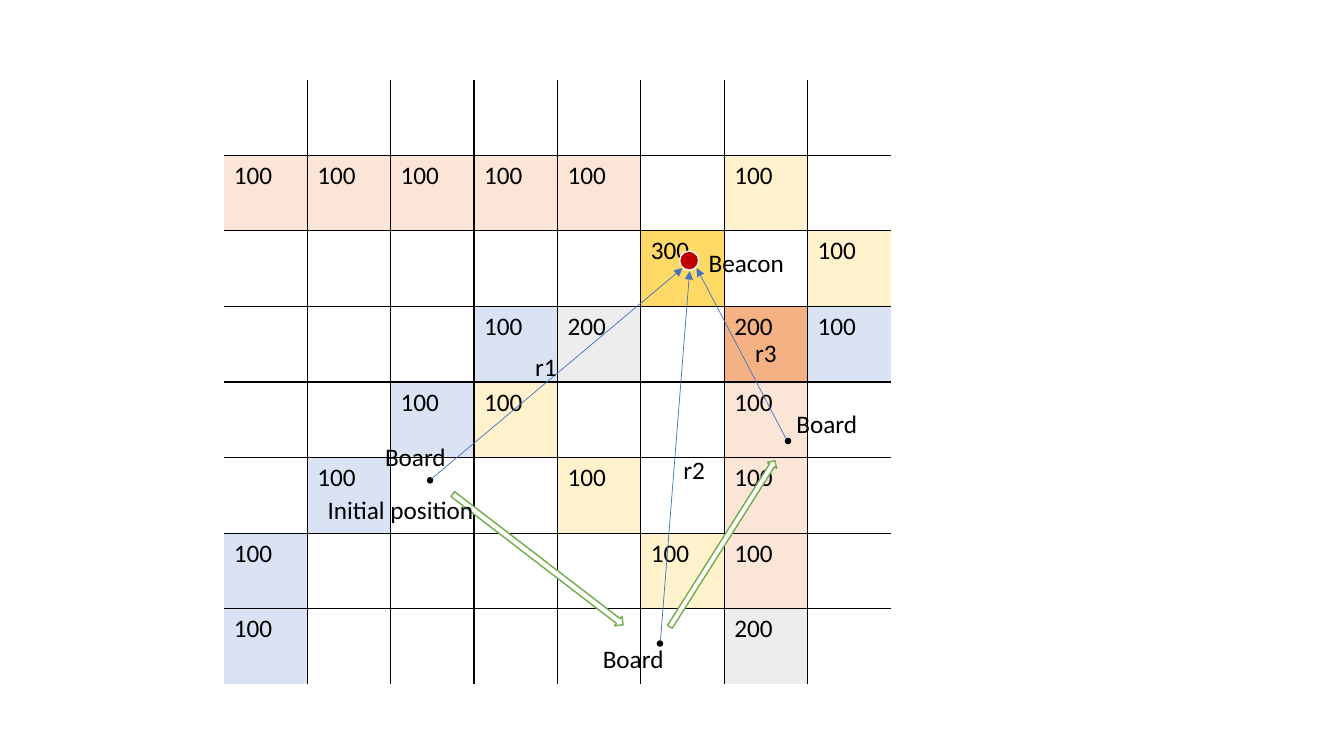
from dataclasses import dataclass
from typing import NamedTuple

from lxml.etree import SubElement
from pptx import Presentation
from pptx.dml.color import RGBColor
from pptx.enum.shapes import MSO_CONNECTOR, MSO_SHAPE
from pptx.enum.text import MSO_AUTO_SIZE
from pptx.oxml.ns import qn
from pptx.util import Inches, Pt


@dataclass(frozen=True)
class Theme:
    """Colours and type of the slide."""
    font: str = "Calibri"
    text_size: int = 18
    black: str = "000000"
    white: str = "FFFFFF"
    beacon: str = "C00000"
    range_line: str = "4472C4"
    move_line: str = "70AD47"


class CellKind(NamedTuple):
    """Value and colour of a marked grid cell."""
    value: str
    fill: str


class Dot(NamedTuple):
    """A round marker."""
    left: float
    top: float
    size: float
    fill: str
    line: str


class Range(NamedTuple):
    """A measured distance from a board to the beacon."""
    start: tuple[float, float]
    end: tuple[float, float]


class Move(NamedTuple):
    """A block arrow between two board positions."""
    left: float
    top: float
    width: float
    height: float
    rotation: float


class Label(NamedTuple):
    """A caption; wrap is off for boxes that hug their text."""
    text: str
    left: float
    top: float
    width: float
    wrap: bool = True


THEME = Theme()
CELL_KINDS = {
    "P": CellKind("100", "FBE5D6"),
    "B": CellKind("100", "DAE3F3"),
    "C": CellKind("100", "FFF2CC"),
    "E": CellKind("200", "EDEDED"),
    "O": CellKind("200", "F4B183"),
    "G": CellKind("300", "FFD966"),
}
GRID = (
    "........",
    "PPPPP.C.",
    ".....G.C",
    "...BE.OB",
    "..BC..P.",
    ".B..C.P.",
    "B....CP.",
    "B.....E.",
)
BOARD_DOTS = [Dot(left, top, 0.05, THEME.black, THEME.black)
              for left, top in ((4.24, 4.74), (6.52, 6.36), (7.79, 4.35))]
BEACON_DOT = Dot(6.74, 2.49, 0.19, THEME.beacon, THEME.white)
RANGES = (
    Range((4.28, 4.75), (6.77, 2.66)),
    Range((6.55, 6.36), (6.84, 2.69)),
    Range((7.8, 4.36), (6.91, 2.66)),
)
MOVES = (
    Move(4.27, 5.49, 2.13, 0.12, 37.5),
    Move(6.19, 5.34, 1.95, 0.11, 302.3),
)
LABELS = (
    Label("r1", 5.21, 3.44, 0.65),
    Label("r2", 6.68, 4.46, 0.42, False),
    Label("r3", 7.39, 3.3, 0.42, False),
    Label("Beacon", 6.93, 2.4, 1.04),
    Label("Initial position", 3.15, 4.86, 1.95),
    Label("Board", 3.72, 4.33, 1.95),
    Label("Board", 5.88, 6.33, 1.95),
    Label("Board", 7.8, 4, 1.95),
)


def rgb(code: str) -> RGBColor:
    """Turn a hex code into a colour."""
    return RGBColor.from_string(code)


def write(frame, text: str) -> None:
    """Put one line of text into a frame in the slide's type."""
    span = frame.paragraphs[0].add_run()
    span.text = text
    for name, value in {"name": THEME.font, "size": Pt(THEME.text_size)}.items():
        setattr(span.font, name, value)
    span.font.color.rgb = rgb(THEME.black)


def set_border(cell, side: str, visible: bool) -> None:
    """Draw or clear one cell edge."""
    edge = SubElement(cell._tc.get_or_add_tcPr(), qn(f"a:ln{side}"), w=str(Pt(1)))
    if visible:
        fill = SubElement(edge, qn("a:solidFill"))
        SubElement(fill, qn("a:srgbClr"), val=THEME.black)
    else:
        SubElement(edge, qn("a:noFill"))


def draw_grid(page) -> None:
    """Draw the vote grid, ruled inside and open at its outer edges."""
    last = len(GRID) - 1
    table = page.shapes.add_table(len(GRID), len(GRID[0]), Inches(2.22), Inches(0.79),
                                  Inches(6.62), Inches(6)).table
    table.first_row = table.horz_banding = False
    for row, marks in enumerate(GRID):
        for column, mark in enumerate(marks):
            cell = table.cell(row, column)
            inner = {"L": column > 0, "R": column < last, "T": row > 0, "B": row < last}
            for side, visible in inner.items():
                set_border(cell, side, visible)
            kind = CELL_KINDS.get(mark)
            if kind:
                cell.fill.solid()
                cell.fill.fore_color.rgb = rgb(kind.fill)
                write(cell.text_frame, kind.value)
            else:
                cell.fill.background()


def paint(shape, fill: str, line: str) -> None:
    """Give a shape a flat fill and a one-point outline."""
    shape.shadow.inherit = False
    shape.fill.solid()
    shape.fill.fore_color.rgb = rgb(fill)
    shape.line.color.rgb = rgb(line)
    shape.line.width = Pt(1)


def draw_dot(page, dot: Dot) -> None:
    """Draw a round marker."""
    shape = page.shapes.add_shape(MSO_SHAPE.OVAL, Inches(dot.left), Inches(dot.top),
                                  Inches(dot.size), Inches(dot.size))
    paint(shape, dot.fill, dot.line)


def draw_range(page, distance: Range) -> None:
    """Draw a thin arrow that points to the beacon."""
    ends = [Inches(value) for value in distance.start + distance.end]
    arrow = page.shapes.add_connector(MSO_CONNECTOR.STRAIGHT, *ends)
    arrow.line.color.rgb = rgb(THEME.range_line)
    arrow.line.width = Pt(0.5)
    SubElement(arrow.line._get_or_add_ln(), qn("a:tailEnd"), type="triangle")
    SubElement(arrow._element.spPr, qn("a:effectLst"))


def draw_move(page, move: Move) -> None:
    """Draw a turned block arrow."""
    shape = page.shapes.add_shape(MSO_SHAPE.RIGHT_ARROW, Inches(move.left), Inches(move.top),
                                  Inches(move.width), Inches(move.height))
    shape.rotation = move.rotation
    paint(shape, THEME.white, THEME.move_line)


def draw_label(page, label: Label) -> None:
    """Draw a caption."""
    box = page.shapes.add_textbox(Inches(label.left), Inches(label.top),
                                  Inches(label.width), Inches(0.4))
    layout = {"word_wrap": label.wrap, "auto_size": MSO_AUTO_SIZE.SHAPE_TO_FIT_TEXT}
    for name, value in layout.items():
        setattr(box.text_frame, name, value)
    write(box.text_frame, label.text)


def main() -> None:
    """Build the slide and save the deck."""
    deck = Presentation()
    deck.slide_width, deck.slide_height = Inches(13.33), Inches(7.5)
    page = deck.slides.add_slide(deck.slide_layouts[6])
    draw_grid(page)
    for draw, items in ((draw_dot, [*BOARD_DOTS, BEACON_DOT]), (draw_range, RANGES),
                        (draw_move, MOVES), (draw_label, LABELS)):
        for item in items:
            draw(page, item)
    deck.save("out.pptx")


main()
